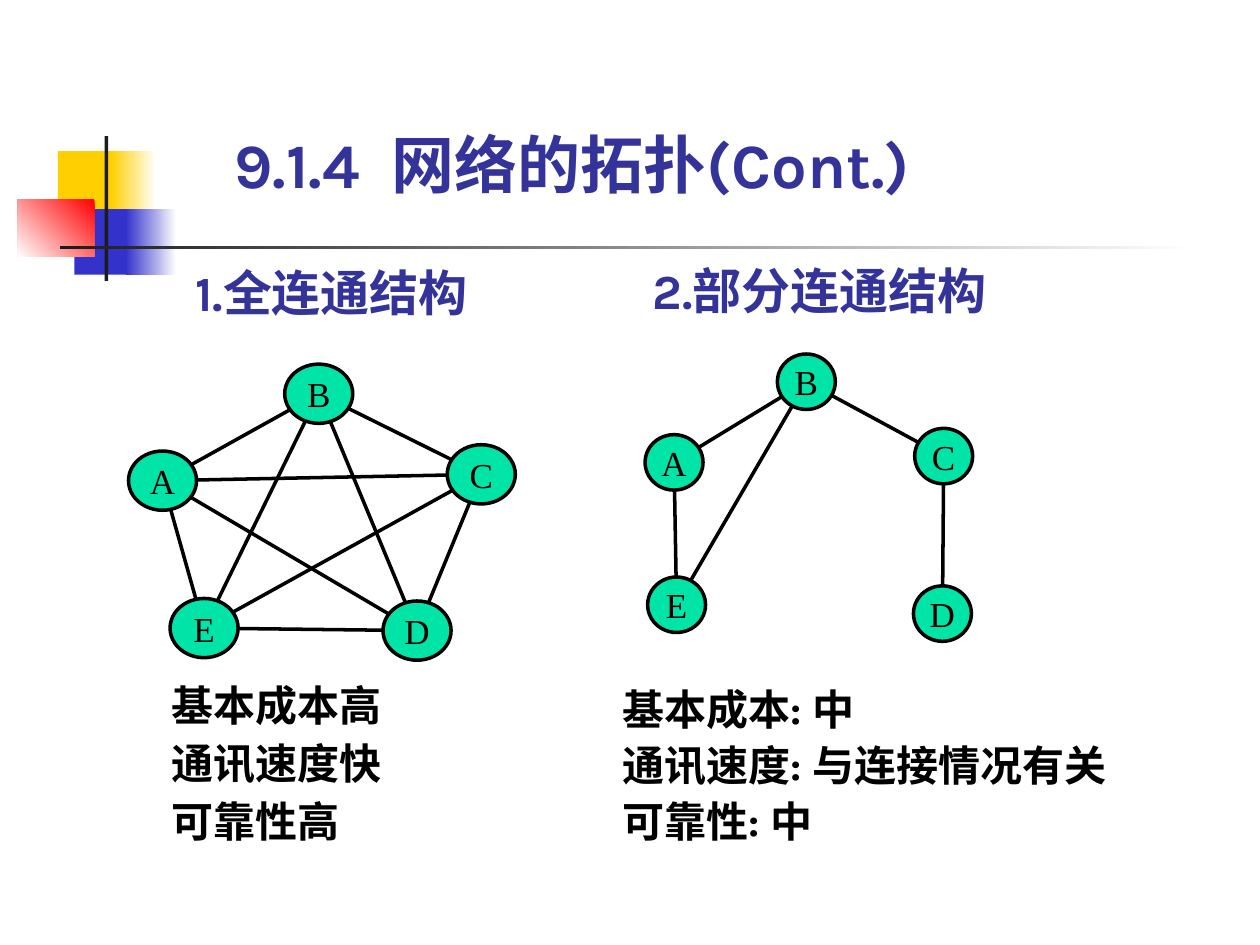
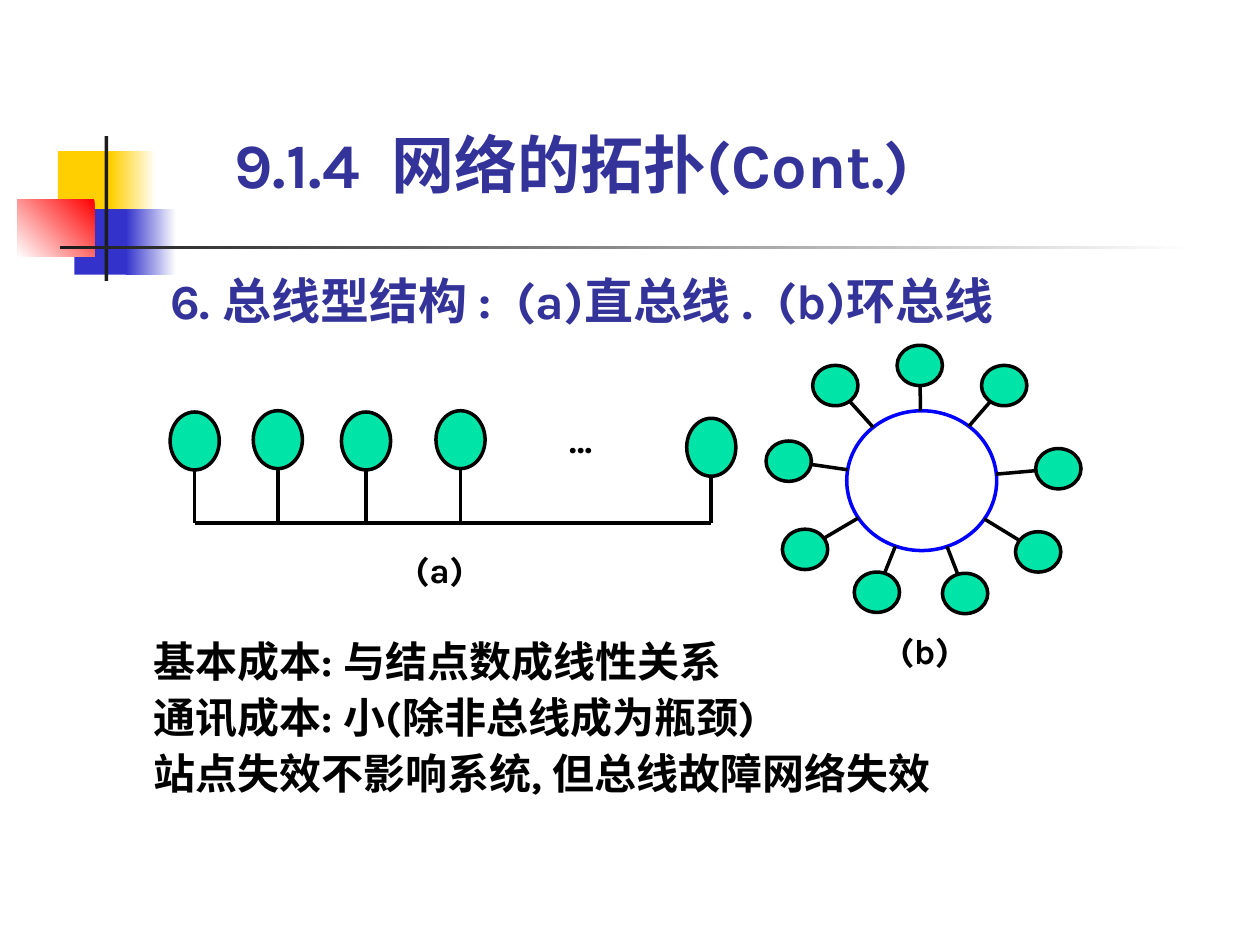
import dataclasses
import math

import lxml.etree
import pptx
import pptx.dml.color
import pptx.enum.shapes
import pptx.enum.text
import pptx.oxml.ns
import pptx.util

COLUMNS, ROWS = 100, 75
CELL = pptx.util.Inches(0.1)
ALIGN = pptx.enum.text.PP_ALIGN
ANCHOR = pptx.enum.text.MSO_ANCHOR
PRESET = pptx.enum.shapes.MSO_SHAPE


@dataclasses.dataclass(frozen=True)
class TextStyle:
    """Font, size, colour and weight of a kind of text."""
    size: int
    colour: str
    font: str = "Karla"
    bold: bool = True


@dataclasses.dataclass(frozen=True)
class Theme:
    """Colours, line width and type sizes of the deck."""
    white: str = "FFFFFF"
    ink: str = "000000"
    rule: str = "1C1C1C"
    yellow: str = "FFCF01"
    blue: str = "3333CC"
    red: str = "FF0000"
    node: str = "00E4A8"
    ring: str = "0000FF"
    line_width: float = 2
    title: TextStyle = TextStyle(36, "333399")
    heading: TextStyle = TextStyle(28, "333399")
    notes: TextStyle = TextStyle(24, "000000")
    caption: TextStyle = TextStyle(20, "000000")
    node_name: TextStyle = TextStyle(20, "000000", "Times New Roman", False)


THEME = Theme()


@dataclasses.dataclass(frozen=True)
class Box:
    """A region in grid columns and rows."""
    left: float
    top: float
    width: float
    height: float

    def inner(self, left, top, width, height):
        """Return a box placed relative to this one."""
        return Box(self.left + left, self.top + top, width, height)

    def centre(self):
        """Return the middle point."""
        return self.left + self.width / 2, self.top + self.height / 2

    def edge_toward(self, point):
        """Return where the inscribed ellipse meets the ray to a point."""
        x, y = self.centre()
        dx, dy = point[0] - x, point[1] - y
        reach = math.hypot(dx / (self.width / 2), dy / (self.height / 2))
        return x + dx / reach, y + dy / reach

    def emu(self):
        """Return left, top, width and height as lengths."""
        return [round(v * CELL) for v in dataclasses.astuple(self)]


def rgb(colour):
    """Turn a hex string into a colour."""
    return pptx.dml.color.RGBColor.from_string(colour)


def write(frame, lines, style, align=ALIGN.LEFT, anchor=ANCHOR.TOP,
          line_spacing=1.0, space_before=0):
    """Fill a text frame with unbulleted paragraphs of one style."""
    frame.text = "\n".join(lines)
    frame.word_wrap = True
    frame.auto_size = pptx.enum.text.MSO_AUTO_SIZE.NONE
    frame.vertical_anchor = anchor
    frame.margin_left = frame.margin_right = 0
    frame.margin_top = frame.margin_bottom = 0
    for index, paragraph in enumerate(frame.paragraphs):
        properties = paragraph._p.get_or_add_pPr()
        properties.set("marL", "0")
        properties.set("indent", "0")
        lxml.etree.SubElement(properties, pptx.oxml.ns.qn("a:buNone"))
        paragraph.alignment = align
        paragraph.line_spacing = line_spacing
        paragraph.space_before = pptx.util.Pt(space_before if index else 0)
        for run in paragraph.runs:
            run.font.name = style.font
            run.font.size = pptx.util.Pt(style.size)
            run.font.bold = style.bold
            run.font.color.rgb = rgb(style.colour)


def add_text(shapes, box, lines, style, **layout):
    """Add a text box."""
    write(shapes.add_textbox(*box.emu()).text_frame, lines, style, **layout)


def fill_placeholder(placeholder, box, lines, style, **layout):
    """Move a placeholder to a box and write in it."""
    placeholder.left, placeholder.top, placeholder.width, placeholder.height = box.emu()
    write(placeholder.text_frame, lines, style, **layout)


def add_preset(shapes, preset, box, fill=None, outline=None):
    """Add a flat preset shape with optional fill and outline."""
    shape = shapes.add_shape(preset, *box.emu())
    shape.shadow.inherit = False
    if fill:
        shape.fill.solid()
        shape.fill.fore_color.rgb = rgb(fill)
    else:
        shape.fill.background()
    if outline:
        shape.line.color.rgb = rgb(outline)
        shape.line.width = pptx.util.Pt(THEME.line_width)
    else:
        shape.line.fill.background()
    return shape


def add_node(shapes, box, name=None):
    """Add a network node, named or plain."""
    node = add_preset(shapes, PRESET.OVAL, box, THEME.node, THEME.ink)
    if name:
        write(node.text_frame, [name], THEME.node_name,
              align=ALIGN.CENTER, anchor=ANCHOR.MIDDLE)


def add_wire(shapes, start, end):
    """Add a straight line between two grid points."""
    ends = [round(v * CELL) for v in (*start, *end)]
    wire = shapes.add_connector(pptx.enum.shapes.MSO_CONNECTOR.STRAIGHT, *ends)
    wire.line.color.rgb = rgb(THEME.ink)
    wire.line.width = pptx.util.Pt(THEME.line_width)
    lxml.etree.SubElement(wire.element.spPr, pptx.oxml.ns.qn("a:effectLst"))


def link(shapes, first, second):
    """Join the rims of two round boxes along their centre line."""
    add_wire(shapes, first.edge_toward(second.centre()), second.edge_toward(first.centre()))


def decorate_master(master, slide, box):
    """Build the corner ornament and rule, and hand them to the master."""
    parts = [
        ((3.2, 1.2, 4.8, 5.2), (THEME.yellow,), 0),
        ((7.4, 1.2, 3.6, 5.2), (THEME.white, THEME.yellow), 180),
        ((4.5, 5.8, 4.6, 5.2), (THEME.blue,), 0),
        ((8.6, 5.8, 4, 5.2), (THEME.white, THEME.blue), 180),
        ((0, 5, 6.1, 4.6), (THEME.red, THEME.white), 225),
        ((6.9, 0, 0.3, 11.5), (THEME.rule,), 0),
        ((3.4, 8.7, 90, 0.3), (THEME.white, THEME.rule), 180),
    ]
    for number, (place, colours, angle) in enumerate(parts, start=101):
        part = add_preset(slide.shapes, PRESET.RECTANGLE, box.inner(*place), colours[0])
        if len(colours) > 1:
            part.fill.gradient()
            part.fill.gradient_angle = angle
            for stop, colour in zip(part.fill.gradient_stops, colours):
                stop.color.rgb = rgb(colour)
        part.element.nvSpPr.cNvPr.set("id", str(number))
        master.shapes.element.append(part.element)


def add_topic_slide(deck):
    """Add a slide with the chapter title."""
    slide = deck.slides.add_slide(deck.slide_layouts[1])
    fill_placeholder(slide.shapes.title, Box(18.6, 10, 63.3, 6),
                     ["9.1.4  网络的拓扑(Cont.)"], THEME.title, anchor=ANCHOR.BOTTOM)
    return slide


def add_graph(slide, box, node_size, places, links):
    """Draw named nodes and the links between them."""
    shapes = slide.shapes.add_group_shape().shapes
    nodes = {name: box.inner(*place, *node_size) for name, place in places.items()}
    for name, node in nodes.items():
        add_node(shapes, node, name)
    for first, second in links:
        link(shapes, nodes[first], nodes[second])


def add_straight_bus(slide, box):
    """Draw nodes hanging on a straight bus, with its caption."""
    shapes = slide.shapes.add_group_shape().shapes
    bus_row = box.top + 8.9
    stations = [box.inner(left, top, 3.9, 4.6) for left, top in
                ((0, 0.1), (6.6, 0), (13.6, 0.1), (21.1, 0), (41, 0.6))]
    stems = [station.centre()[0] for station in stations]
    add_wire(shapes, (stems[0], bus_row), (stems[-1], bus_row))
    for station, stem in zip(stations, stems):
        add_node(shapes, station)
        add_wire(shapes, (stem, station.top + station.height), (stem, bus_row))
    for place, words in (((29.6, 0.6, 6, 3.3), "…"), ((18.1, 10.9, 6.6, 3.3), "(a)")):
        add_text(shapes, box.inner(*place), [words], THEME.caption, align=ALIGN.CENTER)


def add_ring_bus(slide, box):
    """Draw nodes around a ring bus, with its caption."""
    shapes = slide.shapes.add_group_shape().shapes
    ring = box.inner(6.4, 5.2, 11.9, 11.1)
    add_preset(shapes, PRESET.OVAL, ring, outline=THEME.ring)
    for place in ((10.4, 0), (17.1, 1.6), (21.4, 8.2), (19.8, 14.8), (14, 18.1),
                  (7, 18), (1.3, 14.6), (0, 7.6), (3.7, 1.6)):
        station = box.inner(*place, 3.6, 3.2)
        add_node(shapes, station)
        link(shapes, ring, station)
    add_text(shapes, box.inner(8.8, 22.6, 7.6, 3.3), ["(b)"], THEME.caption,
             align=ALIGN.CENTER)


def build_connected_slide(deck):
    """Compare the fully and the partly connected network."""
    slide = add_topic_slide(deck)
    for box, words in ((Box(13.7, 20.8, 25.2, 4.7), "1.全连通结构"),
                       (Box(48.9, 20.7, 32.3, 4.7), "2.部分连通结构")):
        add_text(slide.shapes, box, [words], THEME.heading,
                 align=ALIGN.CENTER, anchor=ANCHOR.MIDDLE)
    add_graph(slide, Box(10.2, 28.9, 30.7, 23.5), (5.4, 4.7),
              {"A": (0, 6.9), "E": (3.3, 18.6), "D": (20.2, 18.8),
               "C": (25.3, 6.4), "B": (12.4, 0)},
              ("CA", "DE", "CB", "BA", "EA", "CD", "BE", "DB", "CE", "DA"))
    add_graph(slide, Box(51.2, 28.1, 26, 22.8), (4.6, 4.4),
              {"A": (0, 6.4), "E": (0.2, 17.7), "D": (21.3, 18.4),
               "C": (21.4, 5.9), "B": (10.5, 0)},
              ("CB", "BA", "EA", "CD", "BE"))
    fill_placeholder(slide.placeholders[1], Box(13.6, 53.3, 22.7, 13.8),
                     ["基本成本高", "通讯速度快", "可靠性高"], THEME.notes,
                     line_spacing=1.15)
    add_text(slide.shapes, Box(49.4, 54.7, 42.6, 12.5),
             ["基本成本: 中", "通讯速度: 与连接情况有关", "可靠性: 中"],
             THEME.notes, line_spacing=0.9, space_before=6)
    return slide


def build_bus_slide(deck):
    """Show the straight and the ring bus."""
    slide = add_topic_slide(deck)
    add_text(slide.shapes, Box(13.5, 21.4, 70.8, 4.7),
             ["6. 总线型结构 :  (a)直总线 .  (b)环总线"], THEME.heading,
             anchor=ANCHOR.BOTTOM)
    add_straight_bus(slide, Box(13.5, 32.6, 44.9, 14.9))
    add_ring_bus(slide, Box(60.8, 27.4, 25, 25.9))
    fill_placeholder(slide.placeholders[1], Box(12.2, 50.9, 67.1, 12.5),
                     ["基本成本: 与结点数成线性关系", "通讯成本: 小(除非总线成为瓶颈)",
                      "站点失效不影响系统, 但总线故障网络失效"],
                     THEME.notes, line_spacing=0.9, space_before=6)


def main():
    """Build and save the deck."""
    deck = pptx.Presentation()
    deck.slide_width, deck.slide_height = COLUMNS * CELL, ROWS * CELL
    connected = build_connected_slide(deck)
    decorate_master(deck.slide_master, connected, Box(1.4, 10.8, 93.4, 11.5))
    build_bus_slide(deck)
    deck.save("out.pptx")


if __name__ == "__main__":
    main()
